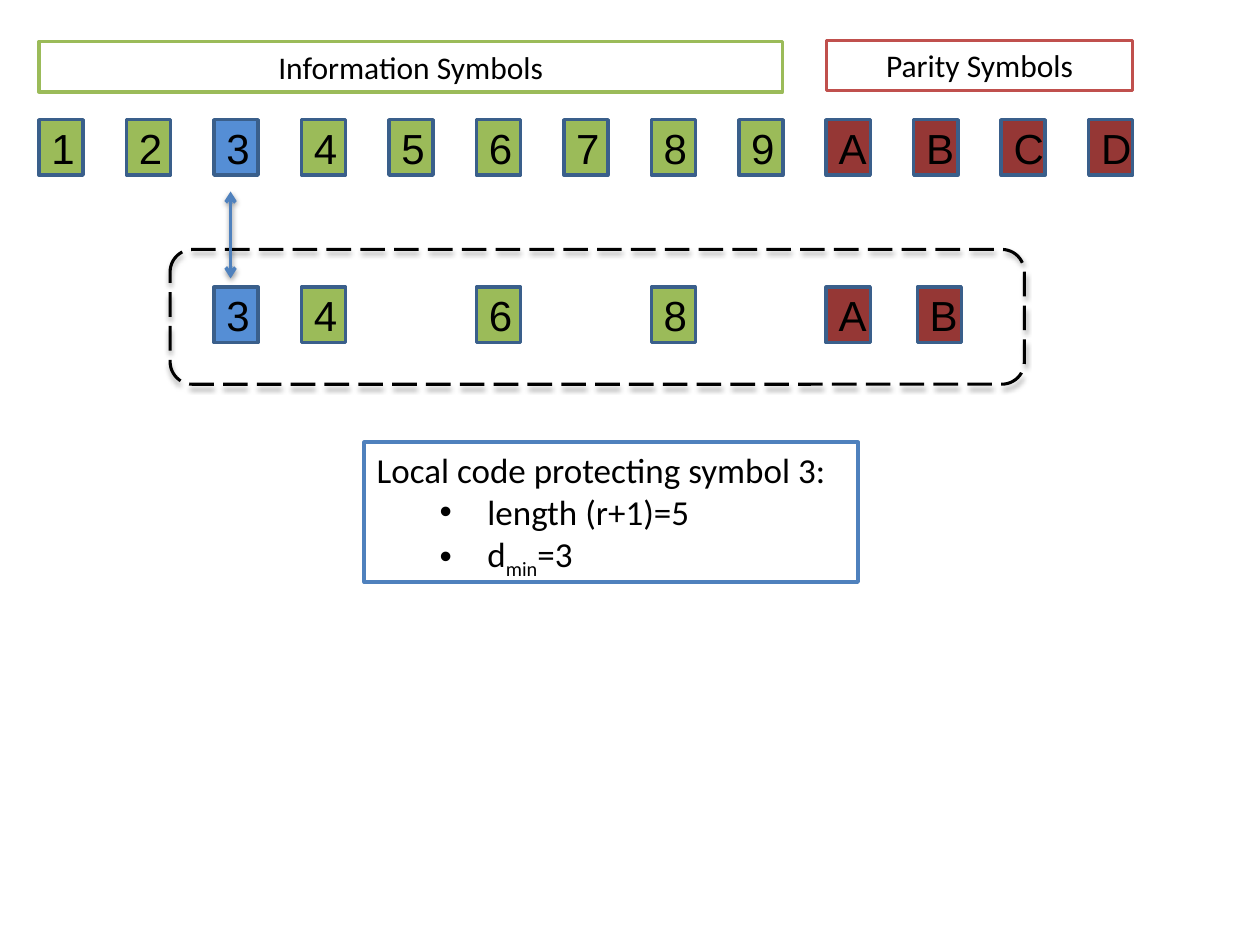
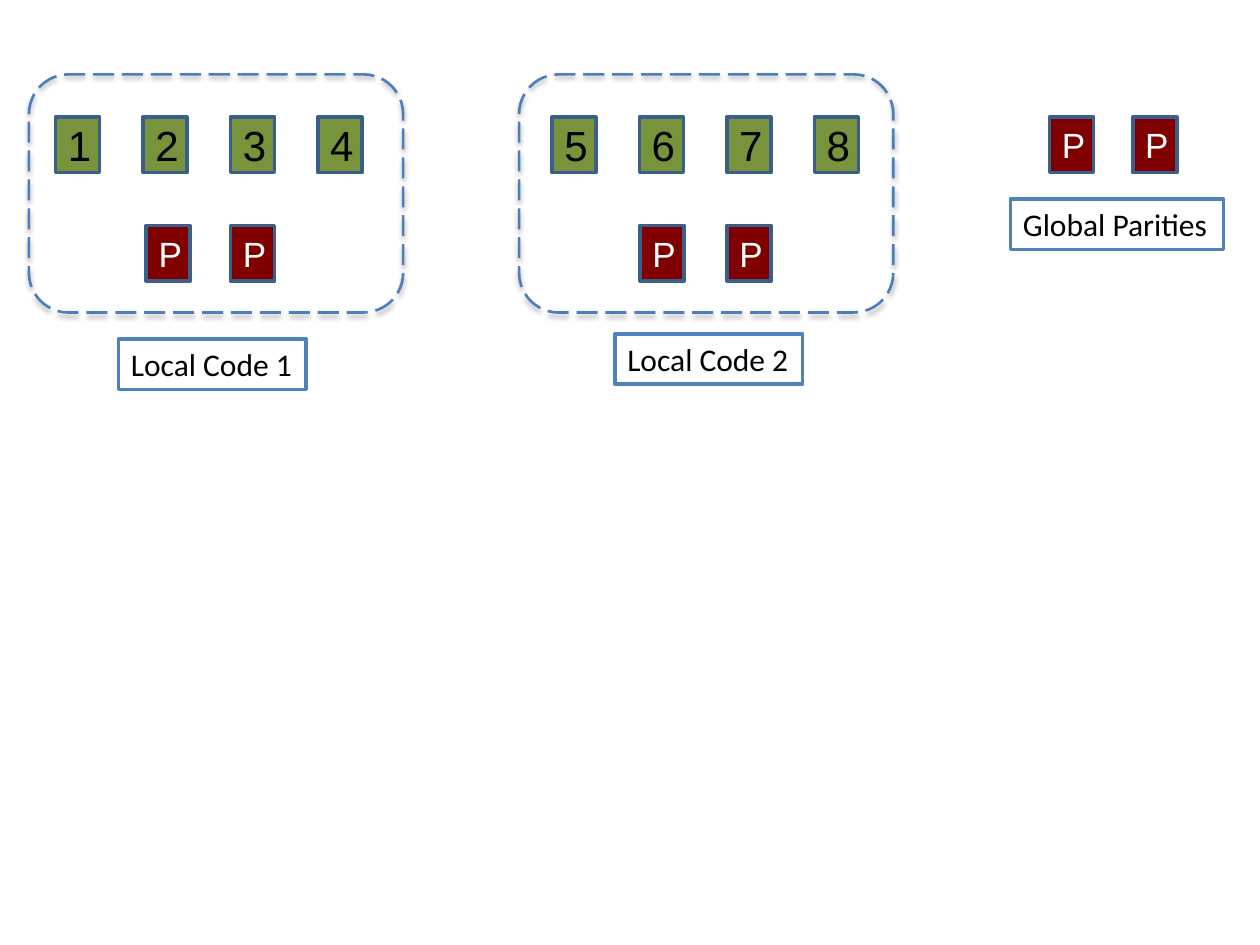
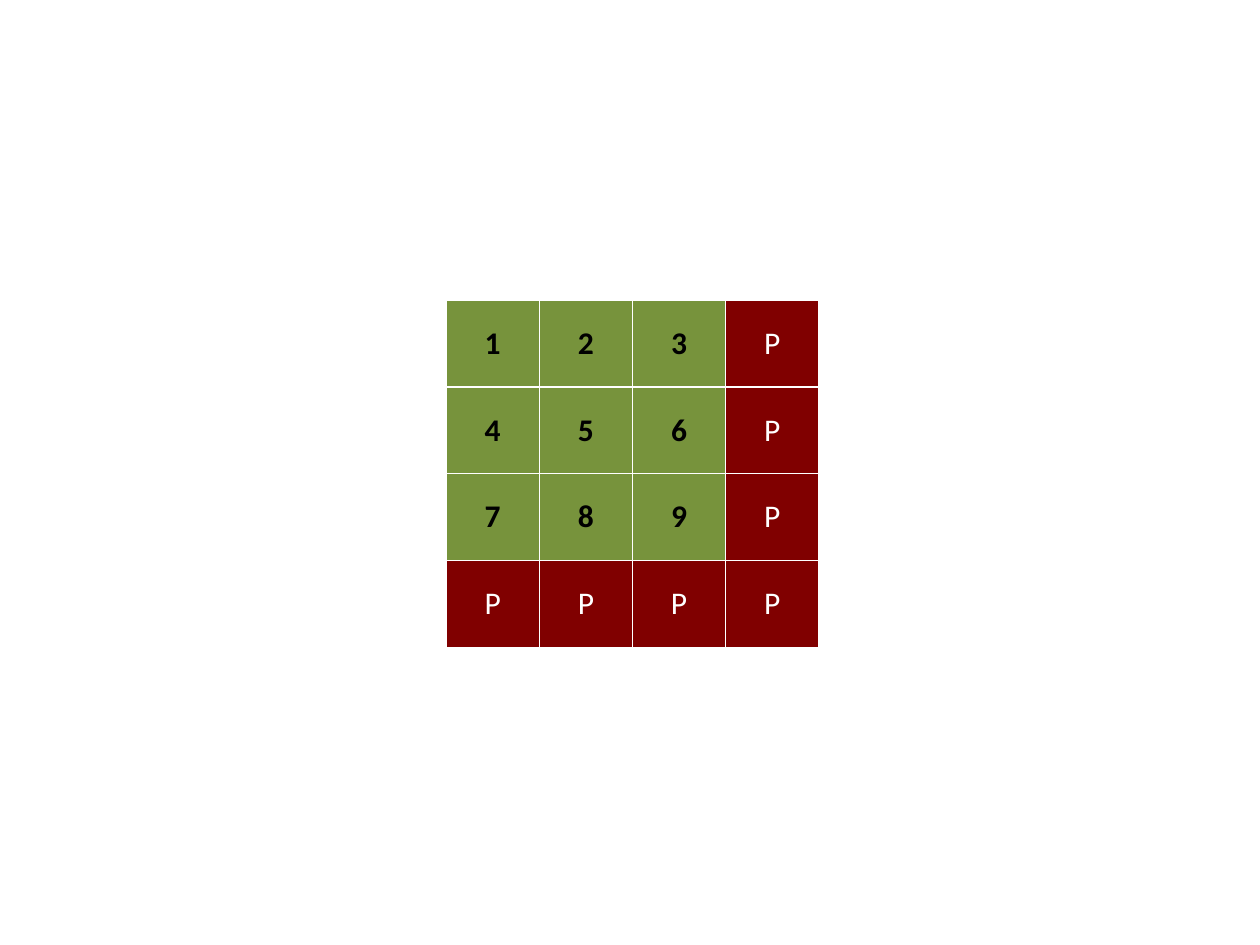
from dataclasses import dataclass

from pptx import Presentation
from pptx.dml.color import RGBColor
from pptx.enum.dml import MSO_LINE
from pptx.enum.shapes import MSO_CONNECTOR, MSO_SHAPE
from pptx.enum.text import MSO_ANCHOR, MSO_AUTO_SIZE, PP_ALIGN
from pptx.oxml.ns import qn
from pptx.util import Inches, Pt
from lxml.etree import SubElement


@dataclass(frozen=True)
class Theme:
    black: str = "000000"
    white: str = "FFFFFF"
    blue: str = "4F81BD"
    frame_blue: str = "4B7EBC"
    edge: str = "3A5F8B"
    selected: str = "558ED5"
    light_green: str = "9BBB59"
    green: str = "77933C"
    red: str = "C0504D"
    brick: str = "953735"
    maroon: str = "800000"
    symbol_font: str = "Arial"
    label_font: str = "Calibri"
    symbol_size: int = 24
    parity_size: int = 20
    note_size: int = 20
    label_size: int = 18
    line_width: int = 2


THEME = Theme()
CELL_WIDTH, CELL_HEIGHT = 0.35, 0.44
PITCH = 8.33 / 12


def rgb(value):
    return RGBColor.from_string(value)


class Sketch:
    def __init__(self, deck, theme):
        self.deck = deck
        self.theme = theme
        self.page = None

    def new_page(self):
        self.page = self.deck.slides.add_slide(self.deck.slide_layouts[6])

    def outline(self, item, color, width=None):
        item.line.color.rgb = rgb(color)
        item.line.width = Pt(width or self.theme.line_width)

    def paint(self, item, fill, line):
        item.fill.solid()
        item.fill.fore_color.rgb = rgb(fill)
        self.outline(item, line)

    def span(self, para, text, size, font, color=None, bold=False):
        run = para.add_run()
        run.text = text
        run.font.size = Pt(size)
        run.font.name = font
        run.font.bold = bold
        run.font.color.rgb = rgb(color or self.theme.black)
        return run

    def cast_shadow(self, item, opacity, distance):
        properties = item._element.spPr
        effects = properties.find(qn("a:effectLst"))
        if effects is None:
            effects = SubElement(properties, qn("a:effectLst"))
        shadow = SubElement(effects, qn("a:outerShdw"), blurRad=str(Pt(3.1)),
                            dist=str(Pt(distance)), dir="5400000", rotWithShape="0")
        color = SubElement(shadow, qn("a:srgbClr"), val=self.theme.black)
        SubElement(color, qn("a:alpha"), val=str(opacity * 1000))

    def symbol(self, text, left, top, fill, size=None, color=None):
        box = self.page.shapes.add_shape(
            MSO_SHAPE.RECTANGLE, Inches(left), Inches(top),
            Inches(CELL_WIDTH), Inches(CELL_HEIGHT))
        box.shadow.inherit = False
        self.paint(box, fill, self.theme.edge)
        box.text_frame.word_wrap = True
        box.text_frame.vertical_anchor = MSO_ANCHOR.MIDDLE
        para = box.text_frame.paragraphs[0]
        para.alignment = PP_ALIGN.LEFT
        self.span(para, text, size or self.theme.symbol_size,
                  self.theme.symbol_font, color)

    def parity(self, left, top):
        self.symbol("P", left, top, self.theme.maroon,
                    self.theme.parity_size, self.theme.white)

    def frame(self, left, top, width, height, color, weight):
        box = self.page.shapes.add_shape(
            MSO_SHAPE.ROUNDED_RECTANGLE, Inches(left), Inches(top),
            Inches(width), Inches(height))
        box.shadow.inherit = False
        box.fill.background()
        self.outline(box, color, weight)
        box.line.dash_style = MSO_LINE.LONG_DASH
        self.cast_shadow(box, 35, 1.8)

    def panel(self, left, top, width, height, line, wrap):
        box = self.page.shapes.add_textbox(
            Inches(left), Inches(top), Inches(width), Inches(height))
        self.paint(box, self.theme.white, line)
        box.text_frame.word_wrap = wrap
        box.text_frame.auto_size = MSO_AUTO_SIZE.SHAPE_TO_FIT_TEXT
        return box.text_frame

    def label(self, text, left, top, width, line=None, centered=False):
        frame = self.panel(left, top, width, 0.4, line or self.theme.blue, centered)
        para = frame.paragraphs[0]
        para.alignment = PP_ALIGN.CENTER if centered else PP_ALIGN.LEFT
        self.span(para, text, self.theme.label_size, self.theme.label_font)

    def note(self, left, top, width, height, heading, bullets):
        frame = self.panel(left, top, width, height, self.theme.blue, False)
        size, font = self.theme.note_size, self.theme.label_font
        self.span(frame.paragraphs[0], heading, size, font)
        for pieces in bullets:
            para = frame.add_paragraph()
            para.level = 1
            properties = para._p.get_or_add_pPr()
            properties.set("marL", str(Inches(0.88)))
            properties.set("indent", str(Inches(-0.38)))
            SubElement(properties, qn("a:buFont"), typeface="Arial")
            SubElement(properties, qn("a:buChar"), char="•")
            for text, baseline in pieces:
                run = self.span(para, text, size, font)
                if baseline:
                    run.font._element.set("baseline", str(baseline * 1000))

    def double_arrow(self, x, top, bottom):
        arrow = self.page.shapes.add_connector(
            MSO_CONNECTOR.STRAIGHT, Inches(x), Inches(top), Inches(x), Inches(bottom))
        self.outline(arrow, self.theme.blue)
        for end in ("a:headEnd", "a:tailEnd"):
            SubElement(arrow.line._get_or_add_ln(), qn(end), type="arrow")
        self.cast_shadow(arrow, 38, 1.6)

    def grid(self, rows, left, top, column_width, row_height):
        count = len(rows[0])
        table = self.page.shapes.add_table(
            len(rows), count, Inches(left), Inches(top),
            Inches(column_width * count), Inches(row_height * len(rows))).table
        for column in table.columns:
            column.width = Inches(column_width)
        for row, texts in zip(table.rows, rows):
            row.height = Inches(row_height)
            for cell, text in zip(row.cells, texts):
                self.grid_cell(cell, text)

    def grid_cell(self, cell, text):
        theme = self.theme
        is_parity = text == "P"
        for side in ("a:lnL", "a:lnR", "a:lnT", "a:lnB"):
            border = SubElement(cell._tc.get_or_add_tcPr(), qn(side), w=str(Pt(1)))
            fill = SubElement(border, qn("a:solidFill"))
            SubElement(fill, qn("a:srgbClr"), val=theme.white)
        cell.fill.solid()
        cell.fill.fore_color.rgb = rgb(theme.maroon if is_parity else theme.green)
        cell.vertical_anchor = MSO_ANCHOR.MIDDLE
        para = cell.text_frame.paragraphs[0]
        para.alignment = PP_ALIGN.CENTER
        self.span(para, text, theme.label_size, theme.label_font,
                  theme.white if is_parity else theme.black, bold=not is_parity)


def local_repair_page(sketch):
    theme = sketch.theme
    sketch.new_page()
    symbols = "123456789ABCD"
    fills = {name: theme.brick if name.isalpha() else theme.light_green
             for name in symbols}
    fills["3"] = theme.selected
    lefts = {name: 0.31 + PITCH * index for index, name in enumerate(symbols)}
    for name in symbols:
        sketch.symbol(name, lefts[name], 0.95, fills[name])
    lefts["B"] = 7.28
    for name in "3468AB":
        sketch.symbol(name, lefts[name], 2.28, fills[name])
    sketch.frame(1.35, 1.98, 6.78, 1.07, theme.black, 1.75)
    sketch.label("Information Symbols", 0.31, 0.33, 5.9, theme.light_green, True)
    sketch.label("Parity Symbols", 6.56, 0.32, 2.43, theme.red, True)
    sketch.note(2.89, 3.51, 3.92, 1.11, "Local code protecting symbol 3:",
                [[("length (r+1)=5", 0)], [("d", 0), ("min", -25), ("=3", 0)]])
    sketch.double_arrow(1.83, 1.52, 2.21)


def local_codes_page(sketch):
    sketch.new_page()
    codes = [
        ("Local Code 1", "1234", 0.44, (1.16, 1.83), 0.23, (0.94, 2.69)),
        ("Local Code 2", "5678", 4.38, (5.08, 5.77), 4.12, (4.88, 2.65)),
    ]
    for title, symbols, left, parity_lefts, frame_left, label_place in codes:
        for index, name in enumerate(symbols):
            sketch.symbol(name, left + PITCH * index, 0.93, sketch.theme.green)
        for parity_left in parity_lefts:
            sketch.parity(parity_left, 1.79)
        sketch.frame(frame_left, 0.59, 2.97, 1.89, sketch.theme.frame_blue, 1.5)
        sketch.label(title, *label_place, 1.49)
    for parity_left in (8.33, 8.99):
        sketch.parity(parity_left, 0.93)
    sketch.label("Global Parities", 8.02, 1.58, 1.69)


def product_code_page(sketch):
    sketch.new_page()
    sketch.grid(["123P", "456P", "789P", "PPPP"], 3.54, 2.38, 0.74, 0.69)


def main():
    deck = Presentation()
    deck.slide_width, deck.slide_height = Inches(10), Inches(7.5)
    sketch = Sketch(deck, THEME)
    local_repair_page(sketch)
    local_codes_page(sketch)
    product_code_page(sketch)
    deck.save("out.pptx")


if __name__ == "__main__":
    main()
